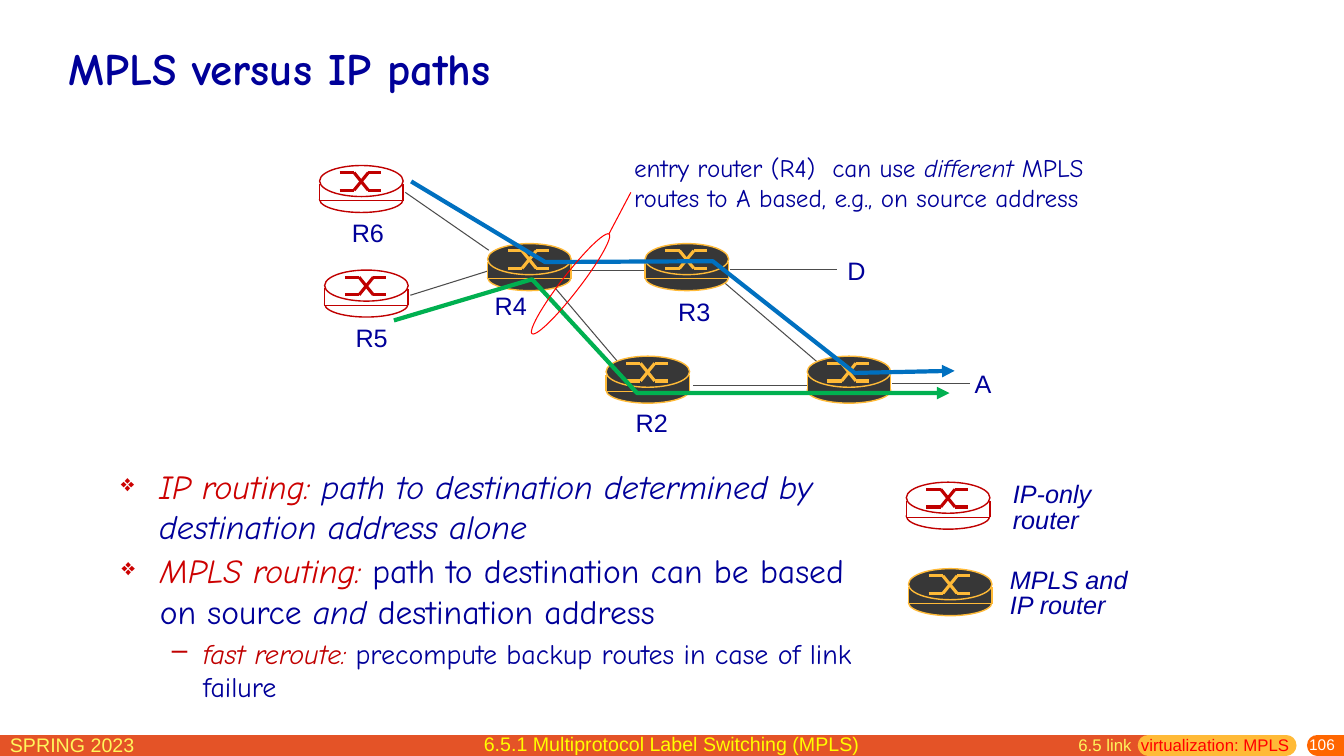
from itertools import pairwise

from lxml import etree
from pptx import Presentation
from pptx import util as u
from pptx.dml.color import RGBColor
from pptx.enum import shapes as sh, text as tx
from pptx.oxml.ns import qn

UNIT = u.Inches(1 / 12)
COLS, ROWS = 160, 90
HUES = {
    "navy": "000099", "red": "CC0000", "brick": "C00000", "pure": "FF0000",
    "white": "FFFFFF", "coal": "373737", "amber": "FFBA37", "gray": "4C4C4C",
    "blue": "0070C0", "green": "00B050", "rust": "E45327", "orange": "FF6600",
    "lemon": "FFF65C", "yellow": "FFFF00",
}
IP, MPLS = ("white", "brick"), ("coal", "amber")
NODES = [(96.1, 42.4, MPLS), (72.15, 42.4, MPLS), (76.8, 29, MPLS),
         (58.05, 29, MPLS), (38.05, 19.7, IP), (38.65, 32.15, IP),
         (107.9, 57.4, IP), (108.15, 67.7, MPLS)]
LINKS = [(48.25, 22.9, 58.2, 29.8), (48.85, 35.15, 58.45, 32.15),
         (68.05, 32.15, 76.8, 32.15), (66.1, 34.3, 73.45, 42.95),
         (82.55, 45.85, 96.25, 45.85), (86.3, 33.7, 97.3, 43.1),
         (106.2, 45.6, 115.45, 45.6), (86.9, 32.05, 99.6, 32.05)]
LABELS = [("R2", 74.5, 47.9), ("D", 99.7, 29.75), ("R3", 79.55, 34.7),
          ("R4", 57.7, 33.95), ("R5", 41.15, 37.8), ("A", 114.85, 43.2),
          ("R6", 40.7, 25.3)]
ROUTES = [("blue", [(48.95, 21.6), (64.9, 31.2), (84.85, 31.1),
                    (101.75, 44.4), (113.65, 44.15)]),
          ("green", [(46.9, 38.15), (63.35, 33.25), (75.85, 46.8),
                     (113.05, 46.8)])]
BARS = [(0, 136.7, "rust", "flat"), (136.7, 153.1, "amber", "rnd"),
        (156.85, COLS, "orange", "rnd")]


def grid(*vals):
    """Turn grid steps into slide lengths."""
    return [u.Emu(round(v * UNIT)) for v in vals]


def tint(hue):
    """Look up a colour by name."""
    return RGBColor.from_string(HUES[hue])


def ink(line, hue, width):
    """Set the colour and width of a line."""
    line.color.rgb = tint(hue)
    line.width = u.Pt(width)


def wire(home, ends, hue, width):
    """Draw a straight line between two grid points."""
    con = home.shapes.add_connector(sh.MSO_CONNECTOR.STRAIGHT, *grid(*ends))
    ink(con.line, hue, width)
    etree.SubElement(con._element.spPr, qn("a:effectLst"))
    return con


def form(home, kind, box, hue, width, fill=None):
    """Draw an outlined preset shape."""
    item = home.shapes.add_shape(kind, *grid(*box))
    item.shadow.inherit = False
    if fill:
        item.fill.solid()
        item.fill.fore_color.rgb = tint(fill)
    else:
        item.fill.background()
    ink(item.line, hue, width)
    return item


def router(slide, x, y, look):
    """Draw a router as a grouped drum with crossed strokes on top."""
    fill, edge = look
    home = slide.shapes.add_group_shape()
    oval, rect = sh.MSO_SHAPE.OVAL, sh.MSO_SHAPE.RECTANGLE
    form(home, oval, (x, y + 2.5, 9.95, 3.1), edge, 1, fill)
    for side in (x, x + 9.95):
        wire(home, (side, y + 2.2, side, y + 4.2), edge, 1)
    form(home, rect, (x, y + 2.25, 9.9, 1.95), edge, 0.75, fill)
    form(home, oval, (x, y, 9.95, 3.7), edge, 1, fill)
    high, low = y + 0.85, y + 2.95
    for a, b in ((high, low), (low, high)):
        dots = [(x + 2.4, a), (x + 4.1, a), (x + 5.8, b), (x + 7.35, b)]
        for p, q in pairwise(dots):
            wire(home, p + q, edge, 2.25)


def route(slide, hue, dots):
    """Draw a thick bent path that ends in an arrow."""
    first, *rest = [grid(*dot) for dot in dots]
    pen = slide.shapes.build_freeform(*first)
    pen.add_line_segments(rest, close=False)
    item = pen.convert_to_shape()
    item.shadow.inherit = False
    item.fill.background()
    ink(item.line, hue, 3)
    etree.SubElement(item.line._get_or_add_ln(), qn("a:tailEnd"), type="triangle")


def note(slide, box, paras, size, font="Arial", wrap=True, fit=False,
         align="LEFT", mid=False, lead=None):
    """Write paragraphs made of (words, hue, style) runs."""
    frame = slide.shapes.add_textbox(*grid(*box)).text_frame
    frame.word_wrap = wrap
    auto = tx.MSO_AUTO_SIZE
    frame.auto_size = auto.SHAPE_TO_FIT_TEXT if fit else auto.NONE
    if mid:
        frame.vertical_anchor = tx.MSO_ANCHOR.MIDDLE
    for i, runs in enumerate(paras):
        par = frame.add_paragraph() if i else frame.paragraphs[0]
        par.alignment = tx.PP_ALIGN[align]
        if lead:
            par.line_spacing = u.Pt(lead)
        for words, hue, style in runs:
            run = par.add_run()
            run.text = words
            run.font.name, run.font.size = font, u.Pt(size)
            run.font.color.rgb = tint(hue)
            run.font.italic, run.font.bold = style == "i", style == "b"
    return frame


def bullet(par, mark, size, left, hang, share=100):
    """Give a paragraph a hanging bullet and a text size."""
    par.space_before = u.Pt(size * 0.2)
    for run in par.runs:
        run.font.size = u.Pt(size)
    prop = par._p.get_or_add_pPr()
    prop.set("marL", str(u.Inches(left)))
    prop.set("indent", str(-u.Inches(hang)))
    etree.SubElement(prop, qn("a:buSzPct"), val=str(share * 1000))
    etree.SubElement(prop, qn("a:buChar"), char=mark)


def footer(slide):
    """Draw the bottom bars and their words."""
    for left, right, hue, cap in BARS:
        bar = wire(slide, (left, 88.7, right, 88.7), hue, 15)
        bar.line._get_or_add_ln().set("cap", cap)
    note(slide, (0, 86.65, 27.5, 3.7), [[("SPRING 2023", "lemon", "")]], 14)
    page = note(slide, (129, 87.85, 31.1, 2.15), [[("106", "white", "")]], 11,
                align="RIGHT", mid=True)
    page.margin_top, page.margin_bottom = 0, u.Inches(0.05)
    note(slide, (127.2, 86.9, 28.3, 3.7),
         [[("6.5 link  ", "lemon", ""), ("virtualization: MPLS", "pure", "")]], 12)
    note(slide, (31.8, 86.5, 96.35, 4.1),
         [[("6.5.1 Multiprotocol Label Switching (MPLS)", "yellow", "")]], 14,
         fit=True, align="CENTER")


def network(slide):
    """Draw routers, links, labels, routes and the callout."""
    for link in LINKS:
        wire(slide, link, "gray", 0.75)
    for node in NODES:
        router(slide, *node)
    for name, x, y in LABELS:
        note(slide, (x, y, 6.25 if len(name) > 1 else 4.5, 4.8),
             [[(name, "navy", "")]], 18, wrap=False, fit=True)
    for hue, dots in ROUTES:
        route(slide, hue, dots)
    ring = form(slide, sh.MSO_SHAPE.OVAL, (66.85, 26.3, 2.15, 15), "pure", 0.75)
    ring.rotation = 37.7
    wire(slide, (72.5, 27.85, 75.1, 22.9), "pure", 0.75)
    note(slide, (74.3, 17.5, 62.3, 8.5),
         [[("entry router (R4)  can use ", "navy", ""), ("different", "navy", "i"),
           (" MPLS routes to A based, e.g., on source address", "navy", "")]],
         18, "Comic Neue", fit=True)


def points(slide):
    """Write the bullets and the legend."""
    ip = note(slide, (13.2, 54.85, 90.6, 9.85),
              [[("IP routing: ", "red", "i"),
                ("path to destination determined by destination address alone",
                 "navy", "i")]], 24, "Comic Neue")
    mpls = note(slide, (13.3, 64.9, 90.7, 20.3),
                [[("MPLS routing: ", "red", "i"),
                  ("path to destination can be based on source ", "navy", ""),
                  ("and", "navy", "i"), (" destination address", "navy", "")],
                 [("fast reroute: ", "brick", "i"),
                  ("precompute backup routes in case of link failure", "navy", "")]],
                24, "Comic Neue")
    for frame in (ip, mpls):
        bullet(frame.paragraphs[0], "❖", 24, 0.38, 0.38, 70)
    mpls.paragraphs[1].level = 1
    bullet(mpls.paragraphs[1], "–", 20, 0.81, 0.31)
    for x, y, wide, rows in ((119.4, 57, 11.9, ("IP-only", "router")),
                             (119.05, 67.2, 17.4, ("MPLS and", "IP router"))):
        note(slide, (x, y, wide, 7.3), [[(row, "navy", "i")] for row in rows], 18,
             wrap=False, fit=True, lead=18)


def main():
    """Build and save the slide."""
    deck = Presentation()
    deck.slide_width, deck.slide_height = grid(COLS, ROWS)
    slide = deck.slides.add_slide(deck.slide_layouts[6])
    footer(slide)
    network(slide)
    points(slide)
    note(slide, (6.95, 3.35, 146.15, 9.5), [[("MPLS versus IP paths", "navy", "b")]],
         32, "Comic Neue", mid=True)
    deck.save("out.pptx")


if __name__ == "__main__":
    main()
